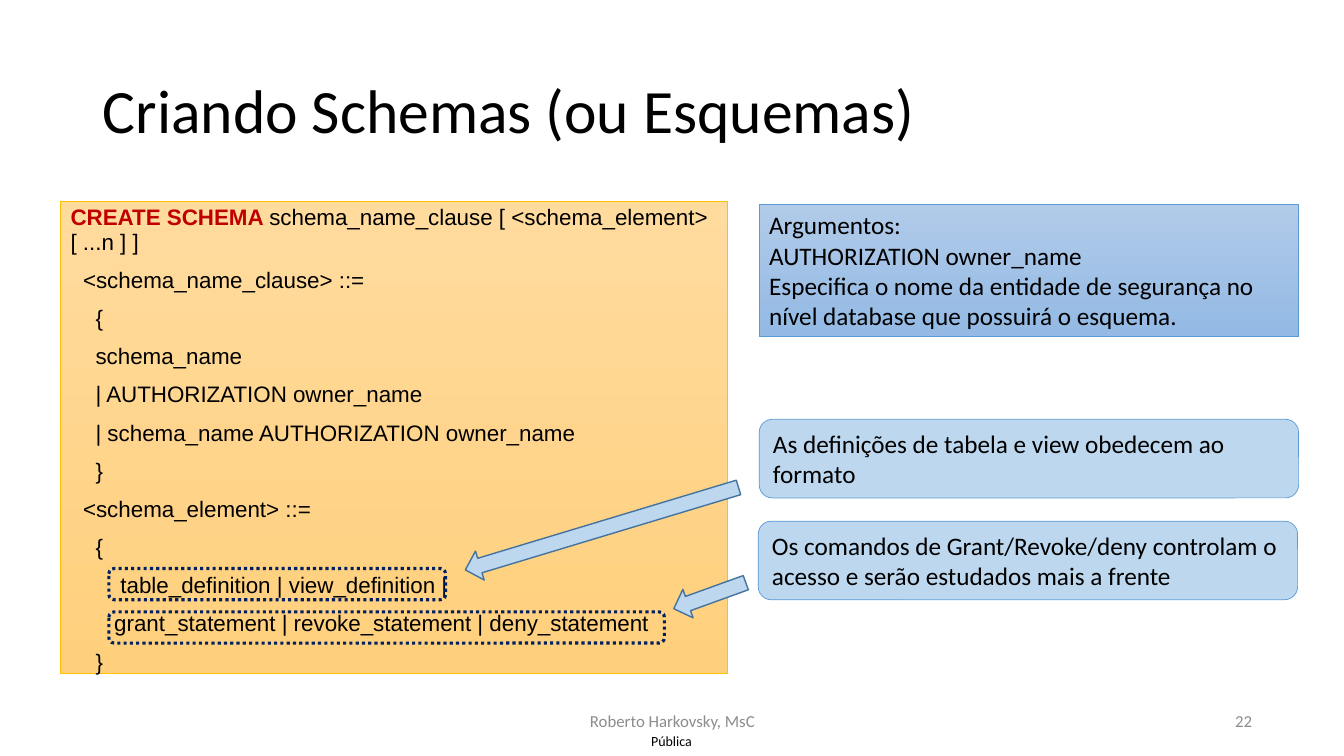
from pptx import Presentation
from pptx.dml.color import RGBColor
from pptx.enum.dml import MSO_LINE
from pptx.enum.shapes import MSO_SHAPE
from pptx.enum.text import MSO_ANCHOR, MSO_AUTO_SIZE, PP_ALIGN
from pptx.oxml.ns import qn
from pptx.util import Emu, Pt
from lxml.etree import SubElement

PX = 9144
BLACK, RED, GREY = "000000", "C00000", "8C8C8C"
PALE_BLUE, BLUE, DARK_BLUE, NAVY = "BDD7EE", "5B9BD5", "43739E", "002060"
SPACE_WIDTH = 6.18

SYNTAX = [
    (0, "CREATE SCHEMA "),
    (2, "<schema_name_clause> ::="),
    (4, "{"),
    (4, "schema_name"),
    (4, "| AUTHORIZATION owner_name"),
    (4, "| schema_name AUTHORIZATION owner_name"),
    (4, "}"),
    (2, "<schema_element> ::="),
    (4, "{"),
    (8, "table_definition | view_definition |"),
    (7, "grant_statement | revoke_statement | deny_statement"),
    (4, "}"),
]
ARGUMENTS = [
    "Argumentos:",
    "AUTHORIZATION owner_name",
    "Especifica o nome da entidade de segurança no nível database que possuirá o esquema.",
]
NOTES = [
    ((753, 416, 535, 78), "As definições de tabela e view obedecem ao formato"),
    ((752, 517, 535, 78),
     "Os comandos de Grant/Revoke/deny controlam o acesso e serão estudados mais a frente"),
]
HIGHLIGHTS = [(108, 564, 334, 31), (108, 607, 551, 31)]
ARROWS = [((582, 383, 30, 283), 73.2), ((689, 553, 30, 76), 70.1)]
FOOTERS = [
    ((631, 721, 70, 29), "Pública", 10, BLACK, PP_ALIGN.CENTER),
    ((442, 695, 450, 40), "Roberto Harkovsky, MsC", 12, GREY, PP_ALIGN.CENTER),
    ((942, 695, 300, 40), "22", 12, GREY, PP_ALIGN.RIGHT),
]


def color(value):
    return RGBColor.from_string(value)


def emu(box):
    return [Emu(length * PX) for length in box]


def place(holder, box):
    holder.left, holder.top, holder.width, holder.height = emu(box)


def outline(shape, stroke, width):
    shape.line.color.rgb = color(stroke)
    shape.line.width = Pt(width)


def gradient(shape, top, bottom):
    shape.fill.gradient()
    shape.fill.gradient_angle = 270
    for stop, shade, position in zip(shape.fill.gradient_stops, (top, bottom), (0, 1)):
        stop.color.rgb = color(shade)
        stop.position = position


def format_text(frame, size, shade=BLACK, font="Calibri", align=PP_ALIGN.LEFT,
                anchor=MSO_ANCHOR.TOP):
    frame.word_wrap = True
    frame.auto_size = MSO_AUTO_SIZE.NONE
    frame.vertical_anchor = anchor
    for paragraph in frame.paragraphs:
        paragraph.alignment = align
        for run in paragraph.runs:
            run.font.size = Pt(size)
            run.font.name = font
            run.font.color.rgb = color(shade)


def add_outlined(slide, kind, box, stroke, width, fill=None):
    shape = slide.shapes.add_shape(kind, *emu(box))
    shape.shadow.inherit = False
    outline(shape, stroke, width)
    if fill:
        shape.fill.solid()
        shape.fill.fore_color.rgb = color(fill)
    else:
        shape.fill.background()
    return shape


def add_footer(slide, box, text, size, shade, align):
    frame = slide.shapes.add_textbox(*emu(box)).text_frame
    frame.text = text
    frame.margin_left = frame.margin_right = frame.margin_top = frame.margin_bottom = 0
    format_text(frame, size, shade, align=align, anchor=MSO_ANCHOR.MIDDLE)


def fill_title(title):
    place(title, (92, 40, 1150, 145))
    title.text_frame.text = "Criando Schemas (ou Esquemas)"
    title.text_frame.paragraphs[0].line_spacing = 0.9
    format_text(title.text_frame, 44, anchor=MSO_ANCHOR.MIDDLE)


def fill_syntax(body):
    place(body, (60, 200, 661, 468))
    gradient(body, "FFDB9E", "FFD07C")
    outline(body, "FFC000", 0.5)
    frame = body.text_frame
    frame.text = "\n".join(text for _, text in SYNTAX)
    command = frame.paragraphs[0]
    command.add_run().text = "schema_name_clause [ <schema_element> [ ...n ] ]"
    format_text(frame, 16, font="Arial")
    command.runs[0].font.bold = True
    command.runs[0].font.color.rgb = color(RED)
    for paragraph, (spaces, _) in zip(frame.paragraphs, SYNTAX):
        paragraph.line_spacing = 0.9
        paragraph.space_before = Pt(10)
        properties = paragraph._p.get_or_add_pPr()
        properties.set("marL", str(round(spaces * SPACE_WIDTH * PX)))
        properties.set("indent", "0")
        SubElement(properties, qn("a:buNone"))


def main():
    deck = Presentation()
    deck.slide_width, deck.slide_height = emu((1333, 750))
    slide = deck.slides.add_slide(deck.slide_layouts[1])
    fill_title(slide.shapes.title)
    fill_syntax(slide.placeholders[1])
    for footer in FOOTERS:
        add_footer(slide, *footer)

    arguments = add_outlined(slide, MSO_SHAPE.RECTANGLE, (753, 203, 535, 131), BLUE, 0.5)
    gradient(arguments, "B1CBE9", "93B9E4")
    arguments.text_frame.text = "\n".join(ARGUMENTS)
    format_text(arguments.text_frame, 18)

    for box, text in NOTES:
        note = add_outlined(slide, MSO_SHAPE.ROUNDED_RECTANGLE, box, BLUE, 0.5, PALE_BLUE)
        note.text_frame.text = text
        format_text(note.text_frame, 18)
    for box in HIGHLIGHTS:
        highlight = add_outlined(slide, MSO_SHAPE.ROUNDED_RECTANGLE, box, NAVY, 2.25)
        highlight.line.dash_style = MSO_LINE.ROUND_DOT
    for box, angle in ARROWS:
        arrow = add_outlined(slide, MSO_SHAPE.DOWN_ARROW, box, DARK_BLUE, 1, PALE_BLUE)
        arrow.rotation = angle
    deck.save("out.pptx")


if __name__ == "__main__":
    main()
